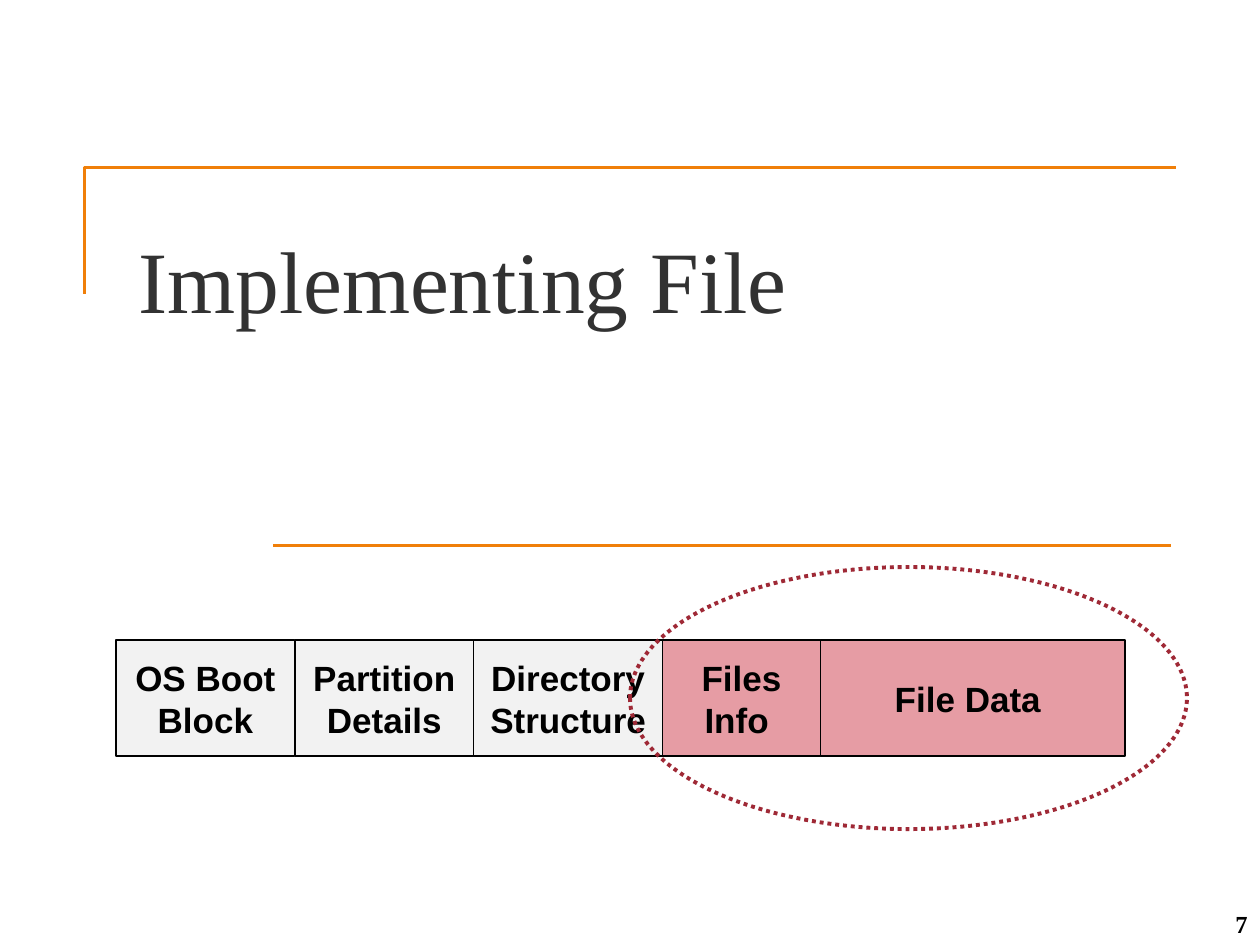
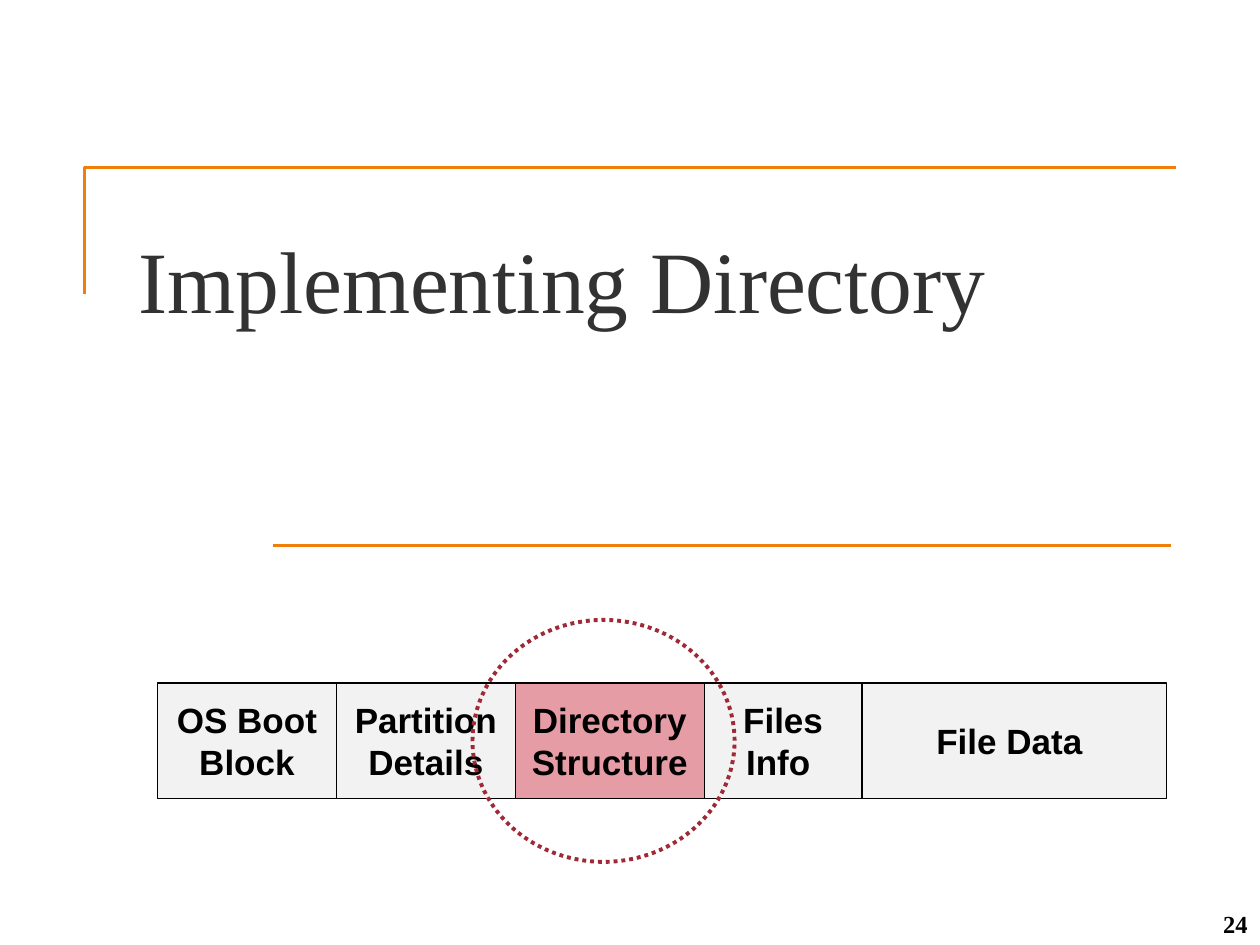
import pptx
import pptx.util
import pptx.dml.color
import pptx.enum.dml
import pptx.enum.shapes
import pptx.enum.text
import pptx.oxml.ns
from lxml import etree

Inches = pptx.util.Inches
SHAPE = pptx.enum.shapes.MSO_SHAPE
ANCHOR = pptx.enum.text.MSO_ANCHOR
ALIGN = pptx.enum.text.PP_ALIGN

COLORS = {
    "accent": "F07F09",
    "title": "323232",
    "text": "000000",
    "block": "F2F2F2",
    "highlight": "E69CA4",
    "ring": "9F2936",
}
SERIF, SANS = "Times New Roman", "Arial"

# Each disk block: label and width in inches
DISK_BLOCKS = [
    ("OS Boot Block", 1.42),
    ("Partition Details", 1.42),
    ("Directory Structure", 1.5),
    ("Files Info ", 1.25),
    ("File Data ", 2.42),
]
BLOCK_HEIGHT = 0.92


def rgb(name):
    return pptx.dml.color.RGBColor.from_string(COLORS[name])


def set_line(shape, color, width):
    shape.line.color.rgb = rgb(color)
    shape.line.width = pptx.util.Pt(width)


def write(shape, text, font=SERIF, size=20, color="text", bold=False,
          align=ALIGN.LEFT, anchor=ANCHOR.TOP, top_inset=0.05):
    tf = shape.text_frame
    tf.word_wrap = True
    tf.vertical_anchor = anchor
    tf.margin_top = Inches(top_inset)
    p = tf.paragraphs[0]
    p.alignment = align
    r = p.add_run()
    r.text = text
    r.font.name = font
    r.font.size = pptx.util.Pt(size)
    r.font.bold = bold
    r.font.color.rgb = rgb(color)


def add_text(s, box, text, **style):
    write(s.shapes.add_textbox(*map(Inches, box)), text, **style)


def add_frame(s, box):
    """Draw the corner bracket and the rule that surround the title."""
    left, top, width, height = box
    right = left + width
    builder = s.shapes.build_freeform(Inches(left), Inches(top + 1))
    builder.add_line_segments(
        [(Inches(left), Inches(top)), (Inches(right), Inches(top))], close=False)
    bracket = builder.convert_to_shape()
    bracket.shadow.inherit = False
    bracket.fill.background()
    set_line(bracket, "accent", 2)

    rule_y = Inches(top + height)
    rule = s.shapes.add_connector(
        pptx.enum.shapes.MSO_CONNECTOR.STRAIGHT,
        Inches(left + 1.5), rule_y, Inches(right - 0.04), rule_y)
    set_line(rule, "accent", 1.5)
    etree.SubElement(rule._element.spPr, pptx.oxml.ns.qn("a:effectLst"))


def add_disk_layout(s, left, top, highlighted):
    """Draw the row of disk blocks, tinting those whose index is highlighted."""
    group = s.shapes.add_group_shape()
    for i, (label, width) in enumerate(DISK_BLOCKS):
        sp = group.shapes.add_shape(
            SHAPE.RECTANGLE, *map(Inches, (left, top, width, BLOCK_HEIGHT)))
        sp.shadow.inherit = False
        sp.fill.solid()
        sp.fill.fore_color.rgb = rgb("highlight" if i in highlighted else "block")
        set_line(sp, "text", 0.75)
        write(sp, label, font=SANS, bold=True, align=ALIGN.CENTER,
              anchor=ANCHOR.MIDDLE)
        left += width


def add_ring(s, box):
    ring = s.shapes.add_shape(SHAPE.OVAL, *map(Inches, box))
    ring.shadow.inherit = False
    ring.fill.background()
    set_line(ring, "ring", 2.25)
    ring.line.dash_style = pptx.enum.dml.MSO_LINE.ROUND_DOT


def add_section_slide(prs, title, number, row_at, highlighted, ring_box):
    s = prs.slides.add_slide(prs.slide_layouts[6])
    add_frame(s, (0.67, 1.33, 8.66, 3))
    add_text(s, (9.42, 7, 0.58, 0.5), number, size=14, bold=True,
             align=ALIGN.RIGHT, anchor=ANCHOR.BOTTOM)
    add_text(s, (1, 1.67, 8.34, 1.92), title, size=50, color="title",
             top_inset=0.12)
    add_disk_layout(s, *row_at, highlighted)
    add_ring(s, ring_box)


def main():
    prs = pptx.Presentation()
    prs.slide_width, prs.slide_height = Inches(10), Inches(7.5)
    add_section_slide(prs, "Implementing File", "7", (0.92, 5.08), {3, 4},
                      (5, 4.5, 4.42, 2.08))
    add_section_slide(prs, "Implementing Directory", "24", (1.25, 5.42), {2},
                      (3.75, 4.92, 2.08, 1.92))
    prs.save("out.pptx")


if __name__ == "__main__":
    main()
